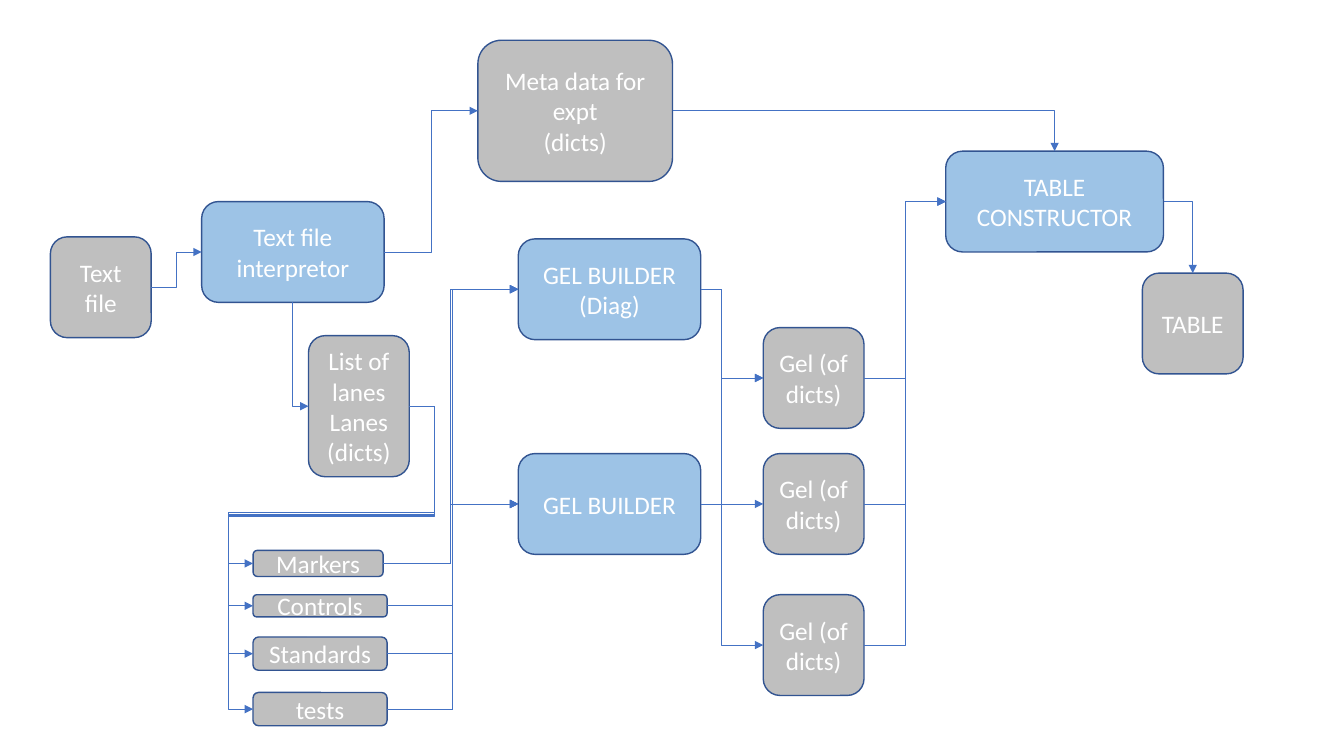
from dataclasses import dataclass
from enum import IntEnum
from itertools import product

from lxml import etree
from pptx import Presentation
from pptx import util as u
from pptx.dml.color import RGBColor
from pptx.enum import shapes, text
from pptx.oxml.ns import qn

DATA_GREY = RGBColor(0xBF, 0xBF, 0xBF)
STEP_BLUE = RGBColor(0x9D, 0xC3, 0xE6)
OUTLINE = RGBColor(0x32, 0x54, 0x91)
ARROW = RGBColor(0x44, 0x72, 0xC4)
WHITE = RGBColor(0xFF, 0xFF, 0xFF)

SLIDE_WIDTH, SLIDE_HEIGHT = u.Inches(13.33), u.Inches(7.5)
COLUMN, ROW = SLIDE_WIDTH / 13.33, SLIDE_HEIGHT / 7.5

GROUP_COLUMN, BUILDER_COLUMN, GEL_COLUMN = 2.51, 5.14, 7.57
BUS_MARGIN = 0.25   # distance of the bus from the boxes it joins
TRUNK_MARGIN = 0.2  # distance of the gel trunk from the builders


class Side(IntEnum):
    """Connection sites of a rounded rectangle."""
    TOP = 0
    LEFT = 1
    BOTTOM = 2
    RIGHT = 3


@dataclass(frozen=True)
class Node:
    """A box of the flow, measured in columns and rows."""
    name: str
    lines: tuple[str, ...]
    column: float
    row: float
    columns: float = 1
    rows: float = 1
    fill: RGBColor = DATA_GREY


@dataclass(frozen=True)
class Link:
    """An elbow arrow between two nodes."""
    source: str
    target: str
    leave: Side = Side.RIGHT
    enter: Side = Side.LEFT
    trunk: float | None = None    # columns from the source to the bend
    bus_row: float | None = None  # row where the arrow turns back


GROUPS = ("Markers", "Controls", "Standards", "tests")
BUS_ROWS = (5.1, 5.12, 5.11, 5.08)
BUILDERS = ("diag builder", "builder")
GELS = ("gel 1", "gel 2", "gel 3")

NODES = [
    Node("text file", ("Text file",), 0.5, 2.35),
    Node("interpreter", ("Text file interpretor",), 2, 2, 1.81, fill=STEP_BLUE),
    Node("lanes", ("List of lanes", "Lanes", "(dicts)"), 3.06, 3.33, rows=1.4),
    Node("meta data", ("Meta data for expt", "(dicts)"), 4.74, 0.4, 1.93, 1.4),
    Node("constructor", ("TABLE CONSTRUCTOR",), 9.38, 1.5, 2.16, fill=STEP_BLUE),
    Node("table", ("TABLE",), 11.33, 2.71),
    Node("diag builder", ("GEL BUILDER", "(Diag)"), BUILDER_COLUMN, 2.37, 1.81,
         fill=STEP_BLUE),
    Node("builder", ("GEL BUILDER",), BUILDER_COLUMN, 4.5, 1.81, fill=STEP_BLUE),
    *(Node(gel, ("Gel (of dicts)",), GEL_COLUMN, row)
      for gel, row in zip(GELS, (3.25, 4.5, 5.9))),
    *(Node(group, (group,), GROUP_COLUMN, row, columns, rows)
      for group, row, columns, rows in zip(
          GROUPS, (5.46, 5.9, 6.32, 6.87),
          (1.29, 1.33, 1.33, 1.33), (0.26, 0.22, 0.33, 0.33))),
]

LINKS = [
    Link("text file", "interpreter"),
    Link("interpreter", "meta data"),
    Link("interpreter", "lanes", leave=Side.BOTTOM),
    Link("meta data", "constructor", enter=Side.TOP),
    Link("constructor", "table", enter=Side.TOP),
    *(Link("lanes", group, bus_row=row) for group, row in zip(GROUPS, BUS_ROWS)),
    *(Link(group, builder) for group, builder in product(GROUPS, BUILDERS)),
    *(Link(builder, gel, trunk=TRUNK_MARGIN) for builder, gel in (
        ("diag builder", "gel 1"), ("diag builder", "gel 2"),
        ("builder", "gel 1"), ("builder", "gel 3"))),
    *(Link(gel, "constructor") for gel in GELS),
]


def draw_node(page, node: Node):
    """Draw a rounded box with its centred text and return it."""
    box = page.shapes.add_shape(
        shapes.MSO_SHAPE.ROUNDED_RECTANGLE,
        round(node.column * COLUMN), round(node.row * ROW),
        round(node.columns * COLUMN), round(node.rows * ROW))
    box.shadow.inherit = False
    box.fill.solid()
    box.fill.fore_color.rgb = node.fill
    box.line.color.rgb = OUTLINE
    box.line.width = u.Pt(1)
    frame = box.text_frame
    frame.word_wrap = True
    frame.vertical_anchor = text.MSO_ANCHOR.MIDDLE
    for index, line in enumerate(node.lines):
        para = frame.add_paragraph() if index else frame.paragraphs[0]
        para.alignment = text.PP_ALIGN.CENTER
        span = para.add_run()
        span.text = line
        span.font.name = "Calibri"
        span.font.size = u.Pt(18)
        span.font.color.rgb = WHITE
    return box


def set_bends(arrow, preset: str, *shares: float) -> None:
    """Give an arrow its elbow preset and the shares at which it bends."""
    geometry = arrow.element.spPr.find(qn("a:prstGeom"))
    geometry.set("prst", preset)
    guides = geometry.find(qn("a:avLst"))
    for number, share in enumerate(shares, 1):
        etree.SubElement(guides, qn("a:gd"), name=f"adj{number}",
                         fmla=f"val {round(share * 100000)}")


def turn_downwards(arrow) -> None:
    """Turn a single corner so that it runs down first, then right."""
    left, top, width, height = arrow.left, arrow.top, arrow.width, arrow.height
    arrow.left = left + (width - height) // 2
    arrow.top = top + (height - width) // 2
    arrow.width, arrow.height = height, width
    frame = arrow.element.spPr.find(qn("a:xfrm"))
    frame.set("rot", "16200000")
    frame.set("flipH", "1")


def draw_link(page, link: Link, boxes: dict) -> None:
    """Join two boxes with an elbow arrow."""
    arrow = page.shapes.add_connector(shapes.MSO_CONNECTOR.ELBOW, 0, 0, 0, 0)
    arrow.begin_connect(boxes[link.source], link.leave)
    arrow.end_connect(boxes[link.target], link.enter)
    if link.bus_row:
        margin = BUS_MARGIN * COLUMN / arrow.width
        turn = (link.bus_row * ROW - arrow.begin_y) / arrow.height
        set_bends(arrow, "bentConnector5", -margin, turn, 1 + margin)
    elif link.enter == Side.TOP or link.leave == Side.BOTTOM:
        set_bends(arrow, "bentConnector2")
        if link.leave == Side.BOTTOM:
            turn_downwards(arrow)
    else:
        share = link.trunk * COLUMN / arrow.width if link.trunk else 0.5
        set_bends(arrow, "bentConnector3", share)
    arrow.line.color.rgb = ARROW
    arrow.line.width = u.Pt(0.5)
    properties = arrow.element.spPr
    etree.SubElement(properties.find(qn("a:ln")), qn("a:tailEnd"), type="triangle")
    etree.SubElement(properties, qn("a:effectLst"))


def main() -> None:
    """Build the flow chart and save it."""
    deck = Presentation()
    deck.slide_width, deck.slide_height = SLIDE_WIDTH, SLIDE_HEIGHT
    page = deck.slides.add_slide(deck.slide_layouts[6])
    boxes = {node.name: draw_node(page, node) for node in NODES}
    for link in LINKS:
        draw_link(page, link, boxes)
    deck.save("out.pptx")


main()
